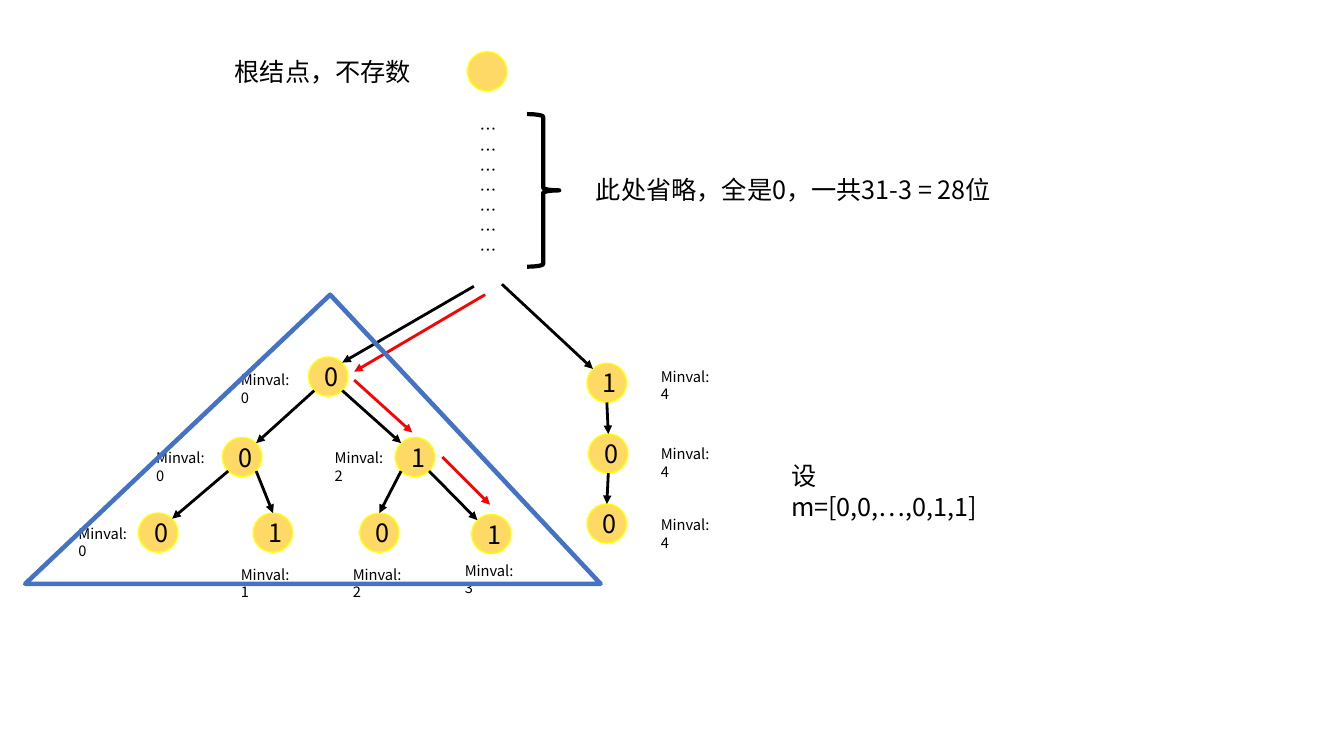
from lxml import etree
from pptx import Presentation
from pptx.dml.color import RGBColor
from pptx.enum.shapes import MSO_CONNECTOR, MSO_SHAPE
from pptx.enum.text import MSO_ANCHOR, PP_ALIGN
from pptx.oxml.ns import qn
from pptx.util import Pt

OVAL, BRACE, TRIANGLE = MSO_SHAPE.OVAL, MSO_SHAPE.RIGHT_BRACE, MSO_SHAPE.ISOSCELES_TRIANGLE
STRAIGHT = MSO_CONNECTOR.STRAIGHT
LEFT, CENTER = PP_ALIGN.LEFT, PP_ALIGN.CENTER
TOP, MIDDLE = MSO_ANCHOR.TOP, MSO_ANCHOR.MIDDLE

BLACK = RGBColor(0x00, 0x00, 0x00)
RED = RGBColor(0xFF, 0x00, 0x00)
GOLD = RGBColor(0xFF, 0xD9, 0x66)
YELLOW = RGBColor(0xFF, 0xFF, 0x00)
BLUE = RGBColor(0x44, 0x72, 0xC4)
FONT = "Noto Sans CJK SC"
DIAMETER = 28

presentation = Presentation()
presentation.slide_width, presentation.slide_height = Pt(960), Pt(540)
slide = presentation.slides.add_slide(presentation.slide_layouts[6])
shapes = slide.shapes


def write_text(shape, text, size=18, align=LEFT, anchor=TOP):
    frame = shape.text_frame
    frame.word_wrap = True
    frame.vertical_anchor = anchor
    frame.text = text
    for paragraph in frame.paragraphs:
        paragraph.alignment = align
        font = paragraph.runs[0].font
        font.name, font.size = FONT, Pt(size)
        font.color.rgb = BLACK
        etree.SubElement(font._element, qn("a:ea"), typeface=FONT)


def add_outline(kind, left, top, width, height, color, weight, fill=None):
    shape = shapes.add_shape(kind, Pt(left), Pt(top), Pt(width), Pt(height))
    shape.shadow.inherit = False
    shape.line.color.rgb, shape.line.width = color, Pt(weight)
    if fill is None:
        shape.fill.background()
    else:
        shape.fill.solid()
        shape.fill.fore_color.rgb = fill
    return shape


# Trie nodes: centre x, centre y, digit
nodes = {
    "root": (348, 51, ""),
    "0": (234.5, 269, "0"),
    "00": (173, 326.5, "0"),
    "000": (113, 380.5, "0"),
    "001": (195, 380.5, "1"),
    "01": (296.5, 326.5, "1"),
    "010": (271, 380.5, "0"),
    "011": (351, 381.5, "1"),
    "1": (433.5, 273.5, "1"),
    "10": (434.5, 324, "0"),
    "100": (433.5, 374, "0"),
}
for x, y, digit in nodes.values():
    circle = add_outline(OVAL, x - DIAMETER / 2, y - DIAMETER / 2,
                         DIAMETER, DIAMETER, YELLOW, 1, GOLD)
    if digit:
        write_text(circle, digit, align=CENTER, anchor=MIDDLE)

# Brace and text: left, top, width, height, size, wording
add_outline(BRACE, 376.5, 81.5, 23, 109, BLACK, 3)
texts = [
    (160.5, 37, 142, 29, 18, "根结点，不存数"),
    (335.5, 81.5, 23, 109, 12, "\n".join("…" * 7)),
    (418.5, 121, 303, 29, 18, "此处省略，全是0，一共31-3 = 28位"),
    (558, 325.5, 152, 29, 18, "设m=[0,0,…,0,1,1]"),
]
minimum_values = [
    (465, 259, 4), (465, 314.5, 4), (465, 365, 4),
    (165, 261.5, 0), (104.5, 317, 0), (49, 371, 0), (232, 317, 2),
    (165, 400.5, 1), (245, 400.5, 2), (325, 397.5, 3),
]
texts += [(left, top, 52.5, 20, 10.5, f"Minval:{value}")
          for left, top, value in minimum_values]
for left, top, width, height, size, text in texts:
    box = shapes.add_textbox(Pt(left), Pt(top), Pt(width), Pt(height))
    write_text(box, text, size=size)

# Tree arrows run between these points on the rim of each circle
RIM = {"N": (0, -14), "S": (0, 14), "NE": (10, -10), "NW": (-10, -10),
       "SE": (10, 10), "SW": (-10, 10)}
edges = [
    ("0", "SW", "00", "NE"), ("0", "SE", "01", "NW"),
    ("00", "SW", "000", "NE"), ("00", "SE", "001", "N"),
    ("01", "SW", "010", "N"), ("01", "SE", "011", "NW"),
    ("1", "S", "10", "N"), ("10", "S", "100", "N"),
]
arrows = [(338.5, 204.5, 244.5, 259, BLACK), (358.5, 203, 423.5, 263.5, BLACK)]
for parent, start, child, end in edges:
    points = [nodes[name][axis] + RIM[side][axis]
              for name, side in ((parent, start), (child, end)) for axis in (0, 1)]
    arrows.append((*points, BLACK))

# Search path
arrows += [(346.5, 210.5, 253, 265.5, RED), (253, 271.5, 294.5, 309, RED),
           (316, 326.5, 350, 360.5, RED)]
for x1, y1, x2, y2, color in arrows:
    arrow = shapes.add_connector(STRAIGHT, Pt(x1), Pt(y1), Pt(x2), Pt(y2))
    arrow.line.color.rgb, arrow.line.width = color, Pt(2)
    etree.SubElement(arrow.line._get_or_add_ln(), qn("a:tailEnd"), type="triangle")
    etree.SubElement(arrow._element.spPr, qn("a:effectLst"))

# Triangle around the left subtree
triangle = add_outline(TRIANGLE, 18, 210.5, 411, 206.5, BLUE, 3.25)
triangle.adjustments[0] = 0.53

presentation.save("out.pptx")
